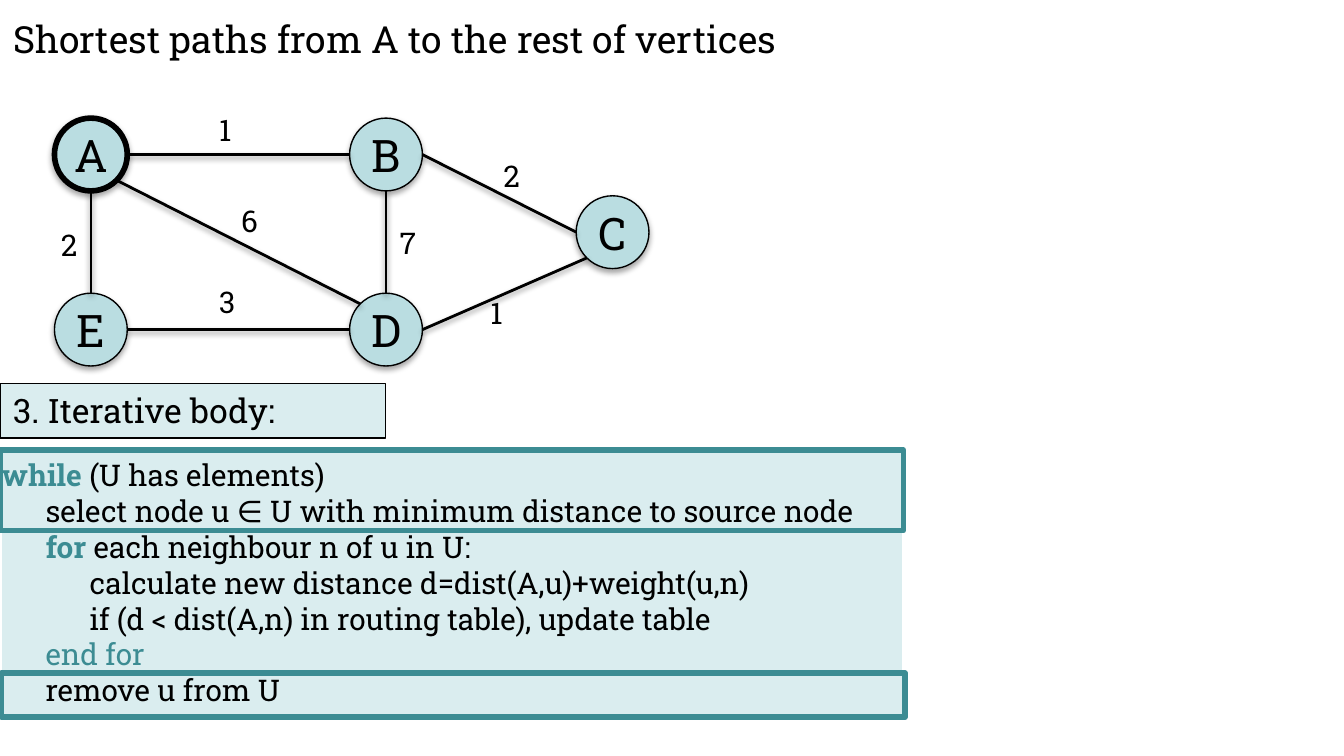
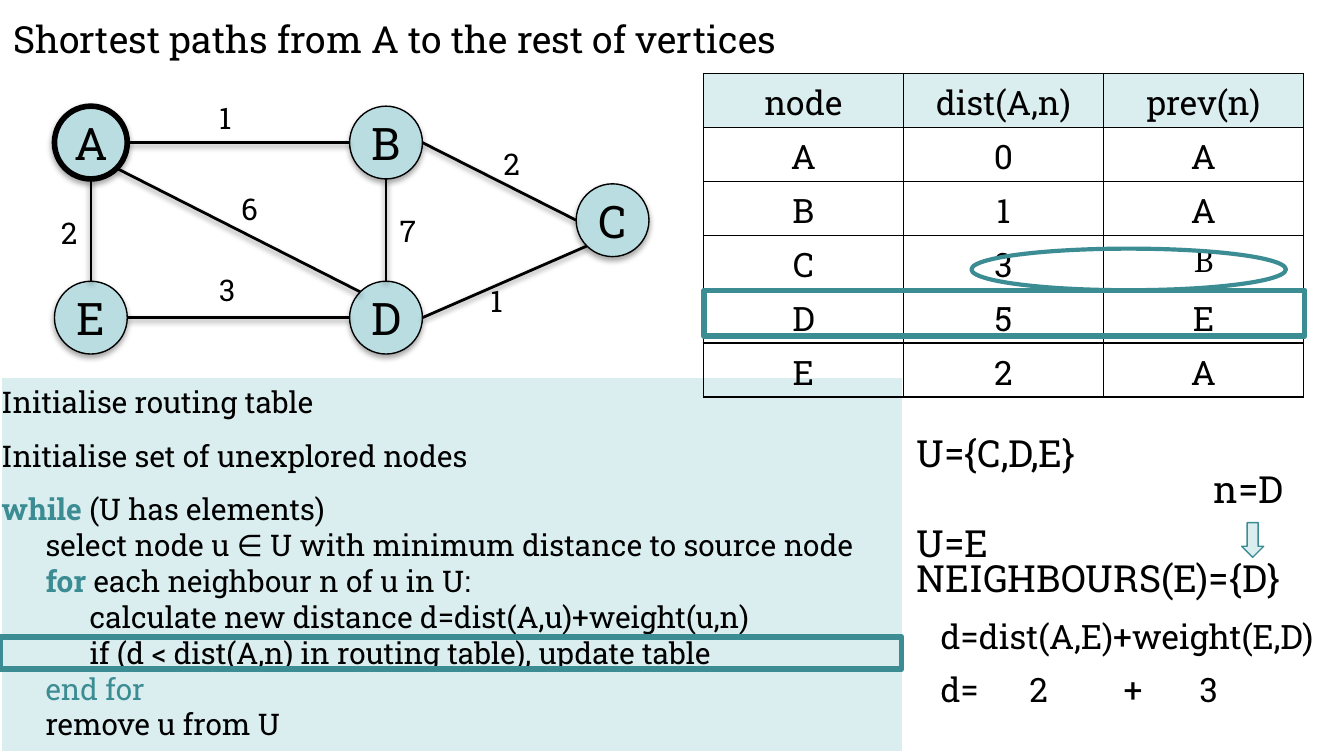
"""Build two slides that step through a shortest-path algorithm on a graph."""
from dataclasses import dataclass
from math import cos, radians, sin

from lxml.etree import SubElement
from pptx import Presentation
from pptx.dml.color import RGBColor
from pptx.enum.shapes import MSO_CONNECTOR as CXN, MSO_SHAPE as SHAPE
from pptx.enum.text import MSO_ANCHOR as ANCHOR, MSO_AUTO_SIZE as AUTO, PP_ALIGN as ALIGN
from pptx.oxml.ns import qn
from pptx.util import Pt

BLACK, WHITE = "000000", "FFFFFF"
PALE, NODE_FILL, TEAL = "DAEDEF", "BADDE1", "3C8C93"
FONT, SERIF = "Roboto Slab", "Cambria"
TITLE = "Shortest paths from A to the rest of vertices"
INDENT, RADIUS = 23.6, 19.5


@dataclass(frozen=True)
class Box:
    left: float
    top: float
    width: float
    height: float

    def pts(self) -> list:
        return [Pt(v) for v in (self.left, self.top, self.width, self.height)]


@dataclass(frozen=True)
class Node:
    x: float
    y: float
    outline: float = 0.75


@dataclass(frozen=True)
class Edge:
    start: str
    start_angle: int
    end: str
    end_angle: int
    weight: str
    label_x: float
    label_y: float


@dataclass(frozen=True)
class CodeLine:
    keyword: str
    rest: str
    level: int = 0
    bold: bool = True
    gap: float = 0


@dataclass(frozen=True)
class Note:
    text: str
    box: Box
    size: float = 20
    tabs: tuple = ()


NODES = {
    "D": Node(206.8, 176.6),
    "B": Node(206.8, 82.8),
    "E": Node(48.7, 176.6),
    "A": Node(48.7, 82.8, 3),
    "C": Node(328.2, 124.4),
}
EDGES = [
    Edge("A", 0, "B", 180, "1", 120.6, 69.5),
    Edge("B", 90, "D", 270, "7", 218.5, 130),
    Edge("D", 180, "E", 0, "3", 121.7, 161.6),
    Edge("E", 270, "A", 90, "2", 37, 131.3),
    Edge("C", 180, "B", 0, "2", 274, 94),
    Edge("D", 0, "C", 135, "1", 266, 167.4),
    Edge("A", 45, "D", 225, "6", 133.6, 118.4),
]
INIT = [
    CodeLine("", "Initialise routing table"),
    CodeLine("", "Initialise set of unexplored nodes", gap=9.6),
]
LOOP = [
    CodeLine("", "select node u ∈ U with minimum distance to source node", 1),
    CodeLine("for", " each neighbour n of u in U:", 1),
    CodeLine("", "calculate new distance d=dist(A,u)+weight(u,n)", 2),
    CodeLine("", "if (d < dist(A,n) in routing table), update table", 2),
    CodeLine("end for", "", 1, bold=False),
    CodeLine("", "remove u from U", 1),
]
ROUTES = [
    ("node", "dist(A,n)", "prev(n)"),
    ("A", "0", "A"),
    ("B", "1", "A"),
    ("C", "3", "B"),
    ("D", "5", "E"),
    ("E", "2", "A"),
]
NOTES = [
    Note("U={C,D,E}", Box(484, 226.8, 101.5, 31.7)),
    Note("U=E", Box(484, 275, 53.3, 31.7)),
    Note("NEIGHBOURS(E)={D}", Box(484, 293.8, 213.8, 31.7)),
    Note("n=D", Box(643, 246.2, 52.6, 31.7)),
    Note("d=dist(A,E)+weight(E,D)", Box(496.8, 326.2, 216.7, 28.8), 18),
    Note("d=\t2\t+\t3", Box(496.8, 355, 164.9, 28.8), 18, (47.6, 98, 138.8)),
]


def rgb(color: str) -> RGBColor:
    """Turn a hex string into a colour."""
    return RGBColor.from_string(color)


def style(r, size: float, color: str = BLACK, bold: bool = False, font: str = FONT) -> None:
    """Format one run."""
    r.font.name, r.font.size, r.font.bold = font, Pt(size), bold
    r.font.color.rgb = rgb(color)


def write(tf, text: str, size: float, align=ALIGN.LEFT, font: str = FONT):
    """Set one paragraph of text and return it."""
    tf.text = text
    p = tf.paragraphs[0]
    p.alignment = align
    for r in p.runs:
        style(r, size, font=font)
    return p


def paint(sp, fill: str | None, line: str, width: float) -> None:
    """Set the fill and outline of a shape."""
    if fill:
        sp.fill.solid()
        sp.fill.fore_color.rgb = rgb(fill)
    else:
        sp.fill.background()
    sp.line.color.rgb, sp.line.width = rgb(line), Pt(width)


def add_shape(slide, kind, box: Box, fill: str | None, line: str, width: float):
    """Add a flat preset shape."""
    sp = slide.shapes.add_shape(kind, *box.pts())
    sp.shadow.inherit = False
    paint(sp, fill, line, width)
    return sp


def add_shadow(sp, opacity: int, distance: float) -> None:
    """Give a shape or connector a soft shadow below it."""
    pr = sp._element.spPr
    effects = pr.find(qn("a:effectLst"))
    if effects is None:
        effects = SubElement(pr, qn("a:effectLst"))
    shadow = SubElement(effects, qn("a:outerShdw"), blurRad=str(Pt(3.1)),
                        dist=str(Pt(distance)), dir="5400000", rotWithShape="0")
    color = SubElement(shadow, qn("a:srgbClr"), val=BLACK)
    SubElement(color, qn("a:alpha"), val=str(opacity * 1000))


def add_text(slide, note: Note, align=ALIGN.LEFT) -> None:
    """Add a text box that keeps its line unbroken."""
    tf = slide.shapes.add_textbox(*note.box.pts()).text_frame
    tf.word_wrap = False
    p = write(tf, note.text, note.size, align)
    if note.tabs:
        stops = SubElement(p._p.get_or_add_pPr(), qn("a:tabLst"))
        for pos in note.tabs:
            SubElement(stops, qn("a:tab"), pos=str(Pt(pos)), algn="l")


def rim(name: str, angle: int, dy: float) -> tuple:
    """Return the point of a node's rim at a clockwise angle."""
    node, a = NODES[name], radians(angle)
    return Pt(node.x + RADIUS * cos(a)), Pt(node.y + dy + RADIUS * sin(a))


def add_graph(slide, dy: float = 0) -> None:
    """Draw the weighted graph, shifted down by dy."""
    for name, node in NODES.items():
        box = Box(node.x - RADIUS, node.y + dy - RADIUS, 2 * RADIUS, 2 * RADIUS)
        sp = add_shape(slide, SHAPE.OVAL, box, NODE_FILL, BLACK, node.outline)
        add_shadow(sp, 35, 1.8)
        tf = sp.text_frame
        tf.margin_left = tf.margin_right = Pt(2.9)
        tf.vertical_anchor = ANCHOR.MIDDLE
        write(tf, name, 24, ALIGN.CENTER)
    for edge in EDGES:
        cxn = slide.shapes.add_connector(CXN.STRAIGHT, *rim(edge.start, edge.start_angle, dy),
                                         *rim(edge.end, edge.end_angle, dy))
        cxn.line.color.rgb, cxn.line.width = rgb(BLACK), Pt(1.5)
        add_shadow(cxn, 38, 1.6)
        box = Box(edge.label_x - 12, edge.label_y + dy - 13.3, 24, 26.6)
        add_text(slide, Note(edge.weight, box, 16), ALIGN.CENTER)


def add_code(sp, box: Box, lines: list) -> None:
    """Fill the body placeholder with pseudocode."""
    sp.left, sp.top, sp.width, sp.height = box.pts()
    paint(sp, PALE, WHITE, 0.75)
    tf = sp.text_frame
    tf.margin_left = tf.margin_right = 0
    tf.margin_top = tf.margin_bottom = Pt(3.6)
    tf.auto_size, tf.vertical_anchor = AUTO.NONE, ANCHOR.TOP
    for i, line in enumerate(lines):
        p = tf.add_paragraph() if i else tf.paragraphs[0]
        p.space_before = Pt(line.gap)
        pr = p._p.get_or_add_pPr()
        pr.set("marL", str(Pt(INDENT * line.level)))
        pr.set("indent", "0")
        SubElement(pr, qn("a:buNone"))
        if line.keyword:
            p.text = line.keyword
            style(p.runs[0], 16, TEAL, line.bold)
        if line.rest:
            r = p.add_run()
            r.text = line.rest
            style(r, 16)


def add_borders(cell) -> None:
    """Draw a thin black line on all sides of a cell."""
    pr = cell._tc.get_or_add_tcPr()
    for i, side in enumerate(("lnL", "lnR", "lnT", "lnB")):
        ln = SubElement(pr, qn(f"a:{side}"), w=str(Pt(1)))
        SubElement(SubElement(ln, qn("a:solidFill")), qn("a:srgbClr"), val=BLACK)
        pr.insert(i, ln)


def add_routes(slide, box: Box) -> None:
    """Add the routing table."""
    table = slide.shapes.add_table(len(ROUTES), len(ROUTES[0]), *box.pts()).table
    table.first_row = table.horz_banding = False
    for i, row in enumerate(ROUTES):
        for j, text in enumerate(row):
            cell = table.cell(i, j)
            if i == 0:
                cell.fill.solid()
                cell.fill.fore_color.rgb = rgb(PALE)
            else:
                cell.fill.background()
            font = SERIF if (row[0], j) == ("C", 2) else FONT
            write(cell.text_frame, text, 18, ALIGN.CENTER, font)
            add_borders(cell)


def add_slide(prs, code_box: Box, lines: list, graph_dy: float = 0):
    """Add a slide with the shared title, pseudocode and graph."""
    slide = prs.slides.add_slide(prs.slide_layouts[1])
    title, body = slide.placeholders
    title.left, title.top, title.width, title.height = Box(0, 5, 427, 31.7).pts()
    tf = title.text_frame
    tf.word_wrap, tf.auto_size, tf.vertical_anchor = False, AUTO.NONE, ANCHOR.TOP
    write(tf, TITLE, 20)
    add_code(body, code_box, lines)
    add_graph(slide, graph_dy)
    return slide


def highlight(slide, box: Box, kind=SHAPE.RECTANGLE, width: float = 3) -> None:
    """Outline an area in teal."""
    add_shape(slide, kind, box, None, TEAL, width)


def main() -> None:
    """Build and save the slides."""
    prs = Presentation()
    prs.slide_width, prs.slide_height = Pt(720), Pt(405)

    slide = add_slide(prs, Box(0.8, 241.2, 483, 143), [CodeLine("while", " (U has elements)"), *LOOP])
    sp = add_shape(slide, SHAPE.RECTANGLE, Box(0, 205.5, 206.6, 29.1), PALE, BLACK, 0.75)
    sp.text_frame.vertical_anchor = ANCHOR.TOP
    write(sp.text_frame, "3. Iterative body:", 18)
    highlight(slide, Box(0, 241.2, 484, 43))
    highlight(slide, Box(0.8, 360.5, 484, 23.8))

    lines = [*INIT, CodeLine("while", " (U has elements)", gap=9.6), *LOOP]
    slide = add_slide(prs, Box(0.8, 201.9, 483, 201), lines, -6.4)
    add_routes(slide, Box(376.8, 39.4, 321.6, 173.4))
    highlight(slide, Box(377.2, 155.6, 321.8, 24.6))
    highlight(slide, Box(0, 341.2, 483, 17.4))
    highlight(slide, Box(520.4, 133.2, 168.5, 22.3), SHAPE.OVAL, 2.25)
    add_shape(slide, SHAPE.DOWN_ARROW, Box(665.2, 280, 11.8, 18.6), PALE, TEAL, 0.75)
    for note in NOTES:
        add_text(slide, note)

    prs.save("out.pptx")


if __name__ == "__main__":
    main()
